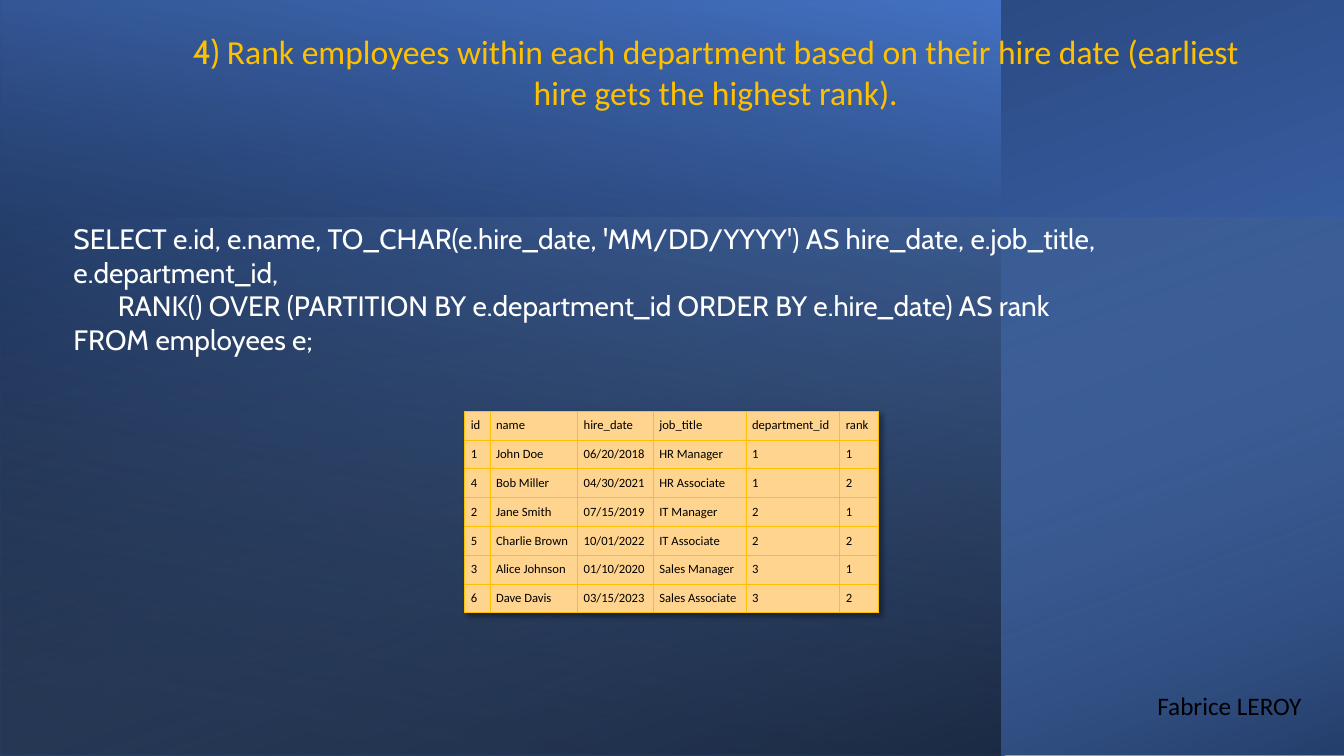
import lxml.etree
import pptx
import pptx.dml.color
import pptx.enum.shapes
import pptx.enum.text
import pptx.oxml
import pptx.oxml.ns
import pptx.util

Inches = pptx.util.Inches
GOLD, WHITE, BLACK, PEACH = "FFC000", "FFFFFF", "000000", "FFD48F"
NAMESPACE = pptx.oxml.ns.nsdecls("a")

BACKDROP = [
    ((2.92, -2.92, 7.5, 13.33), 270, 200, [(8, "4472C4", 100), (100, "203864", 100)]),
    ((0, 0, 9.92, 7.5), 180, 80, [(8, "000000", 52), (100, "4472C4", 100)]),
    ((3.99, -1.84, 5.35, 13.34), 270, 20, [(0, "9DC3E6", 0), (100, "000000", 46)]),
]
QUERY = [
    ("SELECT e.id, e.name, TO_CHAR(e.hire_date, 'MM/DD/YYYY') AS hire_date, "
     "e.job_title, e.department_id,", 0),
    ("RANK() OVER (PARTITION BY e.department_id ORDER BY e.hire_date) AS rank", 0.44),
    ("FROM employees e;", 0),
]
COLUMN_WIDTHS = [0.25, 0.87, 0.75, 0.92, 0.93, 0.38]
RESULT = [
    ("id", "name", "hire_date", "job_title", "department_id", "rank"),
    ("1", "John Doe", "06/20/2018", "HR Manager", "1", "1"),
    ("4", "Bob Miller", "04/30/2021", "HR Associate", "1", "2"),
    ("2", "Jane Smith", "07/15/2019", "IT Manager", "2", "1"),
    ("5", "Charlie Brown", "10/01/2022", "IT Associate", "2", "2"),
    ("3", "Alice Johnson", "01/10/2020", "Sales Manager", "3", "1"),
    ("6", "Dave Davis", "03/15/2023", "Sales Associate", "3", "2"),
]


def rgb(value):
    """Turn a hex string into a colour."""
    return pptx.dml.color.RGBColor.from_string(value)


def add_span(para, text, size, font, color):
    """Append one formatted run to a paragraph."""
    span = para.add_run()
    span.text = text
    span.font.size = pptx.util.Pt(size)
    span.font.name = font
    span.font.color.rgb = rgb(color)


def add_text_frame(page, box, wrap=True):
    """Add a text box that grows with its text and return its frame."""
    frame = page.shapes.add_textbox(*map(Inches, box)).text_frame
    frame.word_wrap = wrap
    frame.auto_size = pptx.enum.text.MSO_AUTO_SIZE.SHAPE_TO_FIT_TEXT
    return frame


def add_gradient_panel(page, box, rotation, angle, stops):
    """Add a mirrored rectangle filled with a linear gradient."""
    panel = page.shapes.add_shape(
        pptx.enum.shapes.MSO_SHAPE.RECTANGLE, *map(Inches, box))
    panel.rotation = rotation
    panel.shadow.inherit = False
    panel.line.fill.background()
    properties = panel._element.spPr
    properties.xfrm.set("flipH", "1")
    marks = "".join(
        f'<a:gs pos="{position * 1000}"><a:srgbClr val="{color}">'
        f'<a:alpha val="{opacity * 1000}"/></a:srgbClr></a:gs>'
        for position, color, opacity in stops)
    properties.find(pptx.oxml.ns.qn("a:prstGeom")).addnext(pptx.oxml.parse_xml(
        f'<a:gradFill {NAMESPACE} rotWithShape="1"><a:gsLst>{marks}</a:gsLst>'
        f'<a:lin ang="{angle * 60000}" scaled="0"/></a:gradFill>'))


def add_title(page, box):
    """Add the centred question."""
    para = add_text_frame(page, box).paragraphs[0]
    para.alignment = pptx.enum.text.PP_ALIGN.CENTER
    add_span(para, "4) ", 24, "Cabin", GOLD)
    add_span(para, "Rank employees within each department based on their hire date "
             "(earliest hire gets the highest rank).", 24, "Calibri", GOLD)


def add_query(page, box):
    """Add the SQL statement, one paragraph per clause."""
    frame = add_text_frame(page, box)
    for index, (clause, indent) in enumerate(QUERY):
        para = frame.add_paragraph() if index else frame.paragraphs[0]
        para._p.get_or_add_pPr().set("marL", str(Inches(indent)))
        add_span(para, clause, 20, "Cabin", WHITE)


def add_author(page, box):
    """Add the author's name."""
    para = add_text_frame(page, box, wrap=False).paragraphs[0]
    add_span(para, "Fabrice LEROY", 18, "Calibri", BLACK)


def style_cell(cell, text):
    """Fill, border and label one table cell."""
    cell.margin_left = cell.margin_right = Inches(0.06)
    cell.margin_top = cell.margin_bottom = Inches(0.06)
    cell.vertical_anchor = pptx.enum.text.MSO_ANCHOR.MIDDLE
    add_span(cell.text_frame.paragraphs[0], text, 9, "Calibri", BLACK)
    properties = cell._tc.get_or_add_tcPr()
    for side in ("lnL", "lnR", "lnT", "lnB"):
        properties.append(pptx.oxml.parse_xml(
            f'<a:{side} {NAMESPACE} w="{pptx.util.Pt(0.5)}"><a:solidFill>'
            f'<a:srgbClr val="{GOLD}"/></a:solidFill></a:{side}>'))
    cell.fill.solid()
    cell.fill.fore_color.rgb = rgb(PEACH)


def add_result(page, box):
    """Add the query result as a table with a soft shadow."""
    table = page.shapes.add_table(
        len(RESULT), len(COLUMN_WIDTHS), *map(Inches, box)).table
    table.first_row = table.horz_banding = False
    table._tbl.tblPr.insert(0, pptx.oxml.parse_xml(
        f'<a:effectLst {NAMESPACE}><a:outerShdw blurRad="50800" dist="38100" '
        f'dir="2700000" algn="tl" rotWithShape="0"><a:srgbClr val="{BLACK}">'
        '<a:alpha val="40000"/></a:srgbClr></a:outerShdw></a:effectLst>'))
    for column, width in zip(table.columns, COLUMN_WIDTHS):
        column.width = Inches(width)
    for row, values in zip(table.rows, RESULT):
        row.height = Inches(box[3] / len(RESULT))
        for cell, text in zip(row.cells, values):
            style_cell(cell, text)


def main():
    """Build the slide and save the deck."""
    deck = pptx.Presentation()
    deck.slide_width, deck.slide_height = Inches(13.33), Inches(7.5)
    page = deck.slides.add_slide(deck.slide_layouts[6])
    for panel in BACKDROP:
        add_gradient_panel(page, *panel)
    add_author(page, (11.38, 6.8, 1.65, 0.4))
    add_title(page, (1.68, 0.26, 10.84, 0.91))
    add_query(page, (0.63, 2.15, 12.08, 1.11))
    add_result(page, (4.61, 4.08, 4.1, 2))
    deck.save("out.pptx")


if __name__ == "__main__":
    main()
